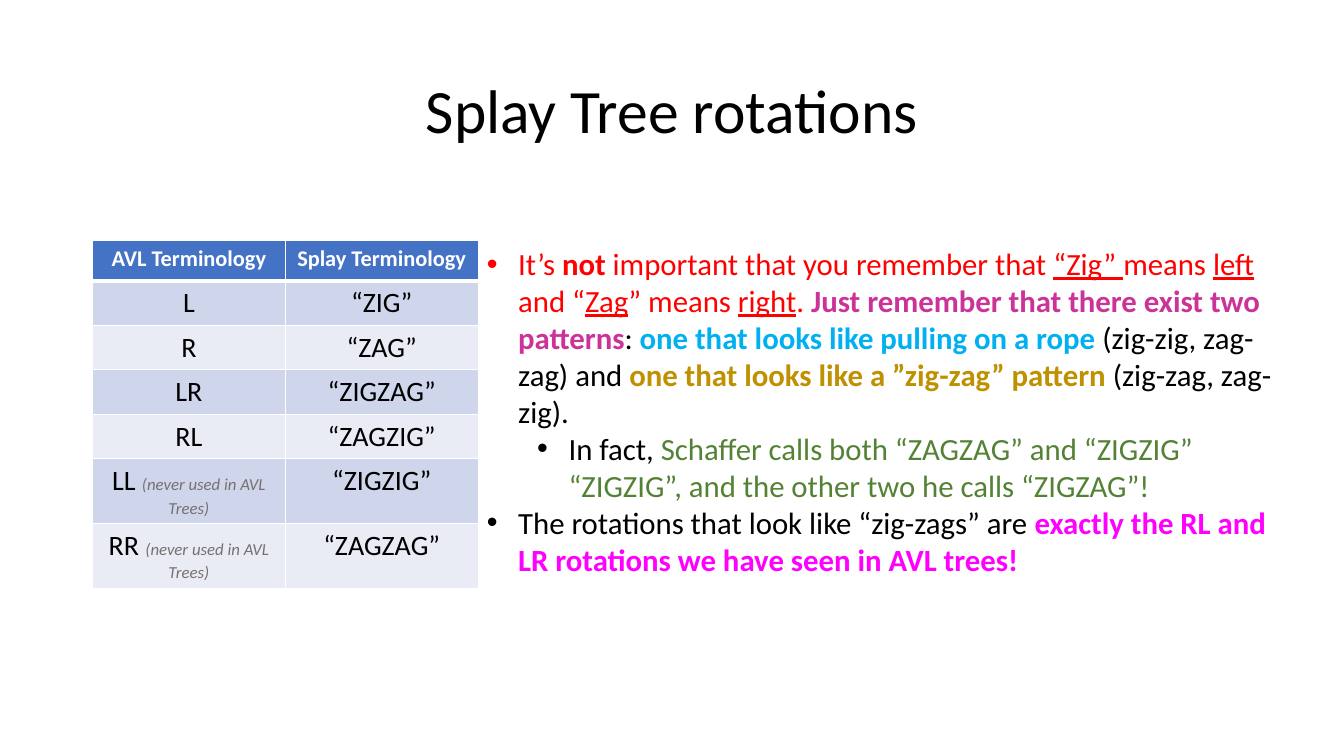
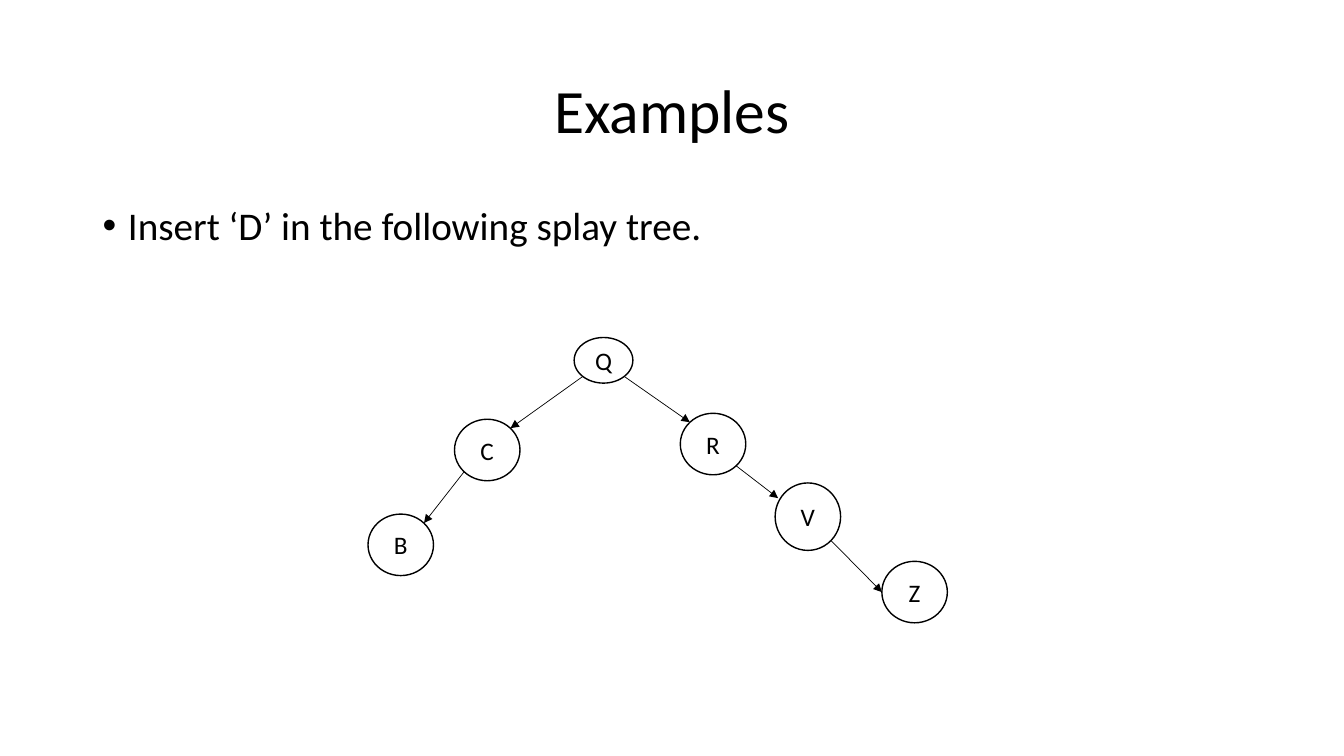
from lxml.etree import SubElement
from pptx import Presentation
from pptx.dml.color import RGBColor
from pptx.enum.shapes import MSO_CONNECTOR, MSO_SHAPE
from pptx.enum.text import MSO_ANCHOR, PP_ALIGN
from pptx.oxml.ns import qn
from pptx.util import Cm, Pt

FONT = "Calibri"
BLACK = RGBColor(0x00, 0x00, 0x00)
WHITE = RGBColor(0xFF, 0xFF, 0xFF)
GRAY = RGBColor(0x76, 0x71, 0x71)
RED = RGBColor(0xFF, 0x00, 0x00)
PURPLE = RGBColor(0xCC, 0x33, 0x99)
SKY = RGBColor(0x00, 0xB0, 0xF0)
GOLD = RGBColor(0xBF, 0x90, 0x00)
GREEN = RGBColor(0x54, 0x82, 0x35)
MAGENTA = RGBColor(0xFF, 0x00, 0xFF)
HEADER_BLUE = RGBColor(0x44, 0x72, 0xC4)
BANDS = [RGBColor(0xE9, 0xEB, 0xF5), RGBColor(0xCF, 0xD5, 0xEA)]

MARGIN, CONTENT_WIDTH = 2.33, 29.21


def add_run(paragraph, text, size, color=BLACK, style=""):
    """Style letters: b bold, i italic, u underline."""
    run = paragraph.add_run()
    run.text = text
    font = run.font
    font.name, font.size, font.color.rgb = FONT, Pt(size), color
    font.bold, font.italic, font.underline = "b" in style, "i" in style, "u" in style


def set_bullet(paragraph, left, hanging):
    properties = paragraph._p.get_or_add_pPr()
    properties.set("marL", str(Cm(left)))
    properties.set("indent", str(-Cm(hanging)))
    SubElement(properties, qn("a:buFont"), typeface="Arial")
    SubElement(properties, qn("a:buChar"), char="•")


presentation = Presentation()
presentation.slide_width, presentation.slide_height = Cm(33.87), Cm(19.05)
content_layout, title_layout = presentation.slide_layouts[1], presentation.slide_layouts[5]

# Slides and their titles
slides = []
for layout, heading in [(title_layout, "Splay Tree rotations"), (content_layout, "Examples")]:
    slide = presentation.slides.add_slide(layout)
    title = slide.shapes.title
    title.left, title.top = Cm(MARGIN), Cm(1.01)
    title.width, title.height = Cm(CONTENT_WIDTH), Cm(3.68)
    title.text_frame.vertical_anchor = MSO_ANCHOR.MIDDLE
    paragraph = title.text_frame.paragraphs[0]
    paragraph.alignment = PP_ALIGN.CENTER
    paragraph.line_spacing = 0.9
    add_run(paragraph, heading, 44)
    slides.append(slide)
rotations_slide, examples_slide = slides

# Rotations: terminology table
AVL_NOTE = "(never used in AVL Trees)"
terms = [
    ("AVL Terminology", "Splay Terminology", ""),
    ("L", "“ZIG”", ""),
    ("R", "“ZAG”", ""),
    ("LR", "“ZIGZAG”", ""),
    ("RL", "“ZAGZIG”", ""),
    ("LL ", "“ZIGZIG”", AVL_NOTE),
    ("RR ", "“ZAGZAG”", AVL_NOTE),
]
row_heights = [1.03] + [1.12] * 4 + [1.63] * 2
column_width = 4.86
table = rotations_slide.shapes.add_table(
    len(terms), 2, Cm(MARGIN), Cm(6.05), Cm(2 * column_width), Cm(sum(row_heights))
).table
for column in table.columns:
    column.width = Cm(column_width)
for row_index, (avl, splay, note) in enumerate(terms):
    table.rows[row_index].height = Cm(row_heights[row_index])
    is_header = row_index == 0
    for column_index, term in enumerate((avl, splay)):
        cell = table.cell(row_index, column_index)
        paragraph = cell.text_frame.paragraphs[0]
        paragraph.alignment = PP_ALIGN.CENTER
        if is_header:
            add_run(paragraph, term, 16, WHITE, "b")
        else:
            add_run(paragraph, term, 20)
        if note and column_index == 0:
            add_run(paragraph, note, 12, GRAY, "i")

        # White borders, thick between header and body
        thick_edge = {0: "lnB", 1: "lnT"}.get(row_index)
        properties = cell._tc.get_or_add_tcPr()
        for edge in ("lnL", "lnR", "lnT", "lnB"):
            width = Pt(3 if edge == thick_edge else 1)
            line = SubElement(properties, qn(f"a:{edge}"), w=str(width))
            fill = SubElement(line, qn("a:solidFill"))
            SubElement(fill, qn("a:srgbClr"), val=str(WHITE))
        cell.fill.solid()
        cell.fill.fore_color.rgb = HEADER_BLUE if is_header else BANDS[row_index % 2]

# Rotations: explanation, as (left indent, runs)
explanation = [
    (0.79, [
        ("It’s ", RED), ("not", RED, "b"), (" important that you remember that ", RED),
        ("“Zig” ", RED, "u"), ("means ", RED), ("left", RED, "u"), (" and “", RED),
        ("Zag", RED, "u"), ("” means ", RED), ("right", RED, "u"), (". ", RED),
        ("Just remember that there exist two patterns", PURPLE, "b"), (": ",),
        ("one that looks like pulling on a rope", SKY, "b"),
        (" (zig-zig, zag-zag) and ",),
        ("one that looks like a ”zig-zag” pattern ", GOLD, "b"),
        ("(zig-zag, zag-zig).",),
    ]),
    (2.06, [
        ("In fact, ",),
        ("Schaffer calls both “ZAGZAG” and “ZIGZIG” “ZIGZIG”, "
         "and the other two he calls “ZIGZAG”!", GREEN),
    ]),
    (0.79, [
        ("The rotations that look like “zig-zags” are ",),
        ("exactly the RL and LR rotations we have seen in AVL trees!", MAGENTA, "b"),
    ]),
]
text_box = rotations_slide.shapes.add_textbox(Cm(12.02), Cm(6.05), Cm(20.93), Cm(8.71))
text_frame = text_box.text_frame
text_frame.word_wrap = True
for index, (indent, runs) in enumerate(explanation):
    paragraph = text_frame.add_paragraph() if index else text_frame.paragraphs[0]
    paragraph.level = 1 if indent > 1 else 0
    set_bullet(paragraph, indent, 0.79)
    for text, *look in runs:
        add_run(paragraph, text, 22, *look)

# Examples: task
body = examples_slide.placeholders[1]
body.left, body.top = Cm(MARGIN), Cm(5.08)
body.width, body.height = Cm(CONTENT_WIDTH), Cm(12.09)
paragraph = body.text_frame.paragraphs[0]
paragraph.line_spacing = 0.9
paragraph.space_before = Pt(10)
set_bullet(paragraph, 0.64, 0.64)
add_run(paragraph, "Insert ‘D’ in the following splay tree.", 28)

# Examples: tree nodes, as centre x, centre y, width, height
nodes = {
    "Q": (15.21, 9.08, 1.48, 1.15),
    "C": (12.28, 11.34, 1.65, 1.55),
    "B": (10.1, 13.73, 1.65, 1.55),
    "R": (17.97, 11.19, 1.65, 1.55),
    "V": (20.36, 13.02, 1.65, 1.7),
    "Z": (23.05, 14.92, 1.65, 1.55),
}
for key, (x, y, width, height) in nodes.items():
    node = examples_slide.shapes.add_shape(
        MSO_SHAPE.OVAL, Cm(x - width / 2), Cm(y - height / 2), Cm(width), Cm(height)
    )
    node.shadow.inherit = False
    node.fill.background()
    node.line.color.rgb = BLACK
    node.line.width = Pt(1)
    node.text_frame.word_wrap = False
    node.text_frame.vertical_anchor = MSO_ANCHOR.MIDDLE
    paragraph = node.text_frame.paragraphs[0]
    paragraph.alignment = PP_ALIGN.CENTER
    add_run(paragraph, key, 18)

# Examples: arrows; points are in radii from the node centre
DIAGONAL = 0.71
BOTTOM_LEFT, BOTTOM_RIGHT = (-DIAGONAL, DIAGONAL), (DIAGONAL, DIAGONAL)
TOP_LEFT, TOP_RIGHT = (-DIAGONAL, -DIAGONAL), (DIAGONAL, -DIAGONAL)
arrows = [
    ("Q", BOTTOM_LEFT, "C", TOP_RIGHT),
    ("C", BOTTOM_LEFT, "B", TOP_RIGHT),
    ("Q", BOTTOM_RIGHT, "R", TOP_LEFT),
    ("R", BOTTOM_RIGHT, "V", (-0.91, -0.55)),
    ("V", BOTTOM_RIGHT, "Z", (-1, 0)),
]
for parent, start, child, end in arrows:
    points = []
    for key, (across, down) in ((parent, start), (child, end)):
        x, y, width, height = nodes[key]
        points += [Cm(x + across * width / 2), Cm(y + down * height / 2)]
    arrow = examples_slide.shapes.add_connector(MSO_CONNECTOR.STRAIGHT, *points)
    arrow.line.color.rgb = BLACK
    arrow.line.width = Pt(0.5)
    SubElement(arrow.line._get_or_add_ln(), qn("a:tailEnd"), type="triangle")
    SubElement(arrow._element.spPr, qn("a:effectLst"))

presentation.save("out.pptx")
